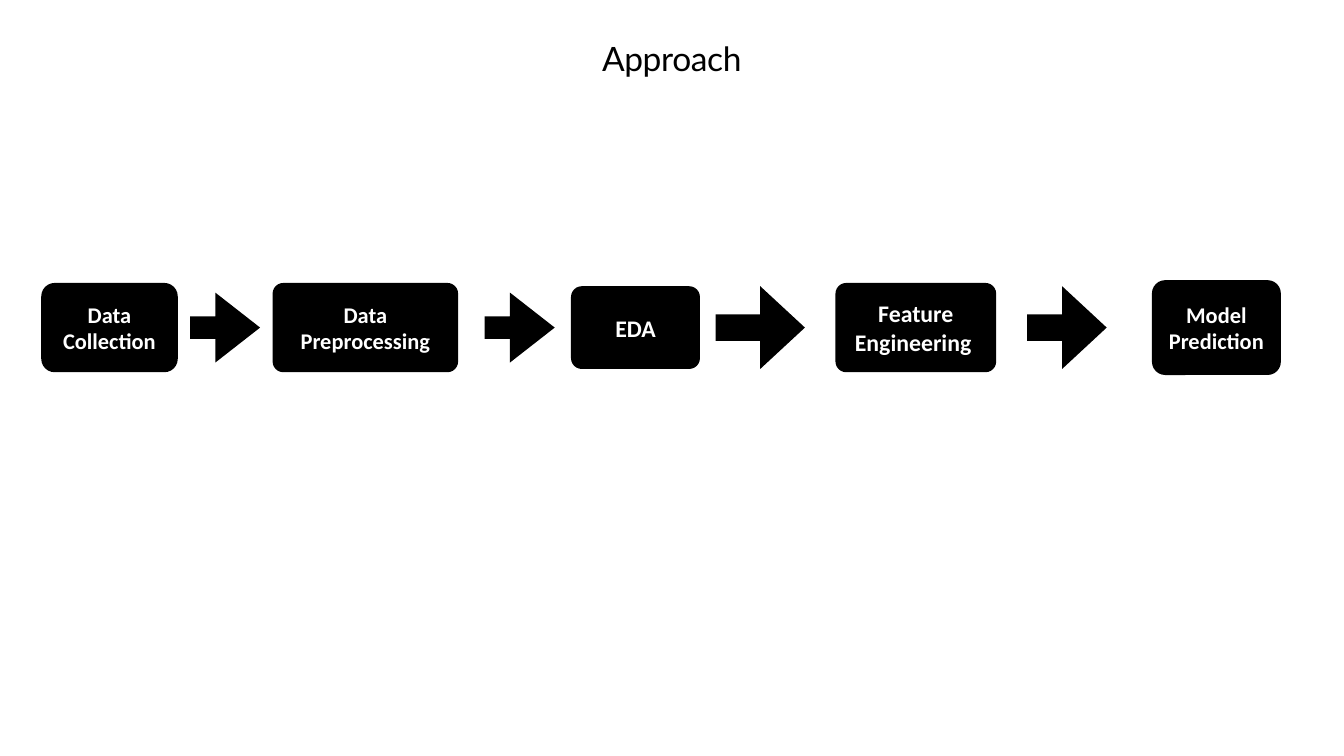
"""Build the approach slide: five black steps joined by block arrows."""
from typing import NamedTuple

from pptx import Presentation, util as u
from pptx.dml import color
from pptx.enum import shapes, text

BLACK = color.RGBColor(0, 0, 0)
WHITE = color.RGBColor(255, 255, 255)
MID = 16.51
INSET = 0.15


class Step(NamedTuple):
    label: str
    left: float
    width: float
    height: float
    round: float
    size: int = 32


class Arrow(NamedTuple):
    left: float
    width: float
    height: float
    head: float


STEPS = [
    Step("Data Collection", 2.08, 6.88, 4.5, 0.15),
    Step("Data Preprocessing", 13.74, 9.35, 4.5, 0.12),
    Step("EDA", 28.78, 6.5, 4.17, 0.13, 34),
    Step("Feature Engineering ", 42.11, 8.1, 4.5, 0.12, 34),
    Step("Model Prediction", 58.06, 6.5, 4.78, 0.14),
]
ARROWS = [
    Arrow(9.58, 3.53, 3.53, 0.64),
    Arrow(24.43, 3.53, 3.53, 0.64),
    Arrow(36.07, 4.5, 4.17, 0.54),
    Arrow(51.77, 4.01, 4.17, 0.56),
]


def write(frame, label: str, face: str, size: float, ink, bold: bool = False):
    """Fill a text frame with one centred run and return that run."""
    frame.word_wrap = True
    frame.margin_left = frame.margin_right = u.Cm(INSET)
    frame.margin_top = frame.margin_bottom = u.Cm(INSET)
    line = frame.paragraphs[0]
    line.alignment = text.PP_ALIGN.CENTER
    run = line.add_run()
    run.text = label
    run.font.name = face
    run.font.size = u.Pt(size)
    run.font.bold = bold
    run.font.color.rgb = ink
    return run


def block(slide, kind, item: Step | Arrow):
    """Draw a plain black shape centred on the middle line of the flow."""
    shape = slide.shapes.add_shape(
        kind, u.Cm(item.left), u.Cm(MID - item.height / 2),
        u.Cm(item.width), u.Cm(item.height))
    shape.shadow.inherit = False
    shape.fill.solid()
    shape.fill.fore_color.rgb = BLACK
    shape.line.fill.background()
    return shape


def draw_step(slide, step: Step) -> None:
    """Draw one labelled step."""
    box = block(slide, shapes.MSO_SHAPE.ROUNDED_RECTANGLE, step)
    box.adjustments[0] = step.round
    box.text_frame.vertical_anchor = text.MSO_ANCHOR.MIDDLE
    write(box.text_frame, step.label, "Calibri", step.size, WHITE, True)


def draw_arrow(slide, arrow: Arrow) -> None:
    """Draw one block arrow."""
    shape = block(slide, shapes.MSO_SHAPE.RIGHT_ARROW, arrow)
    shape.adjustments[0] = 0.32
    shape.adjustments[1] = arrow.head


def draw_title(slide, label: str) -> None:
    """Draw the slide title."""
    box = slide.shapes.add_textbox(
        u.Cm(3.38), u.Cm(2.16), u.Cm(60.96), u.Cm(4.8))
    run = write(box.text_frame, label, "Lato", 47.9, BLACK)
    run.font._element.set("spc", "-50")
    box.text_frame.paragraphs[0].line_spacing = 0.8


def main() -> None:
    """Build and save the deck."""
    deck = Presentation()
    deck.slide_width, deck.slide_height = u.Cm(67.74), u.Cm(38.1)
    slide = deck.slides.add_slide(deck.slide_layouts[6])
    draw_title(slide, "Approach")
    for step in STEPS:
        draw_step(slide, step)
    for arrow in ARROWS:
        draw_arrow(slide, arrow)
    deck.save("out.pptx")


if __name__ == "__main__":
    main()
